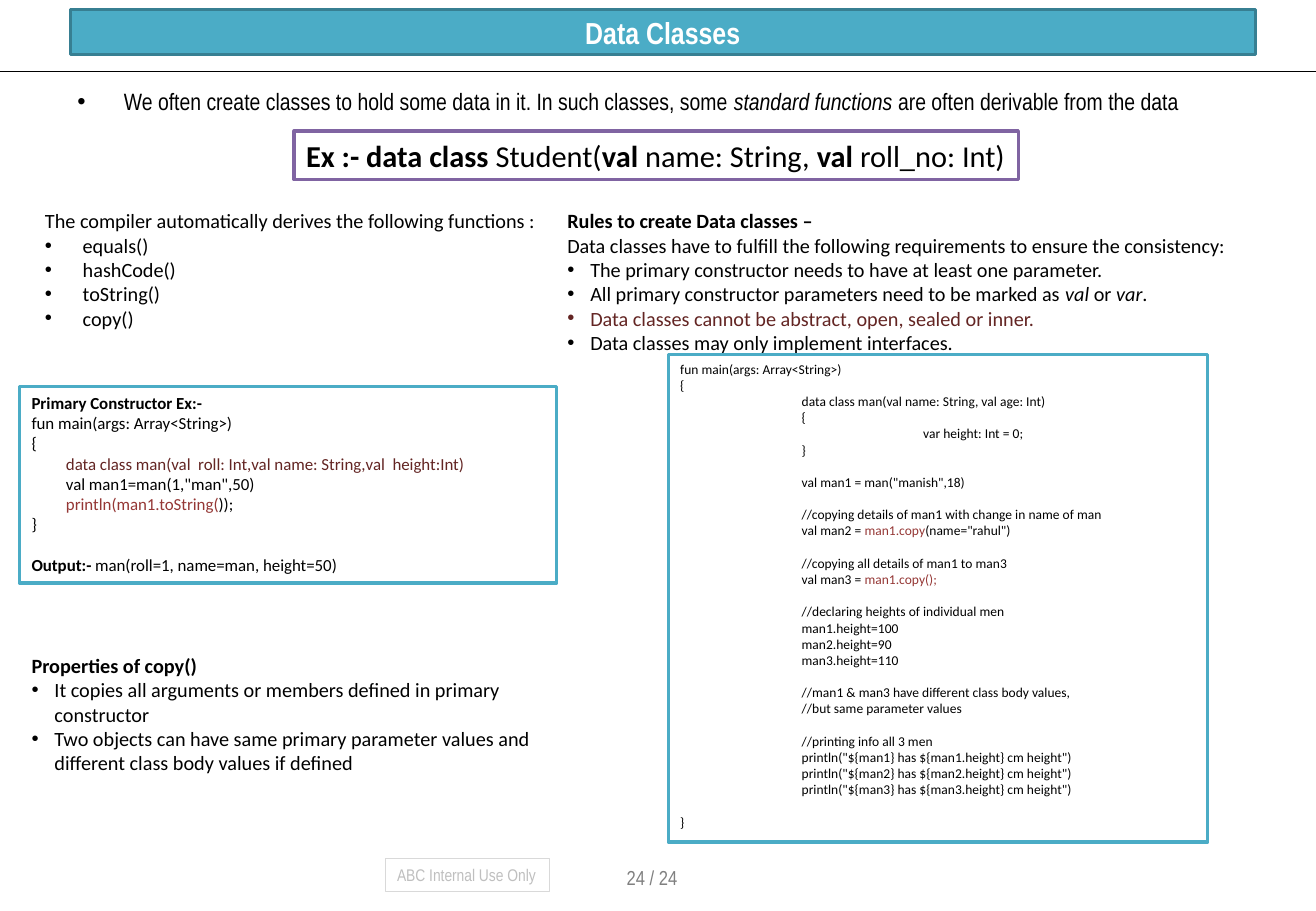
from collections import namedtuple
from pptx import Presentation
from pptx.dml.color import RGBColor
from pptx.enum.shapes import MSO_CONNECTOR, MSO_SHAPE
from pptx.enum.text import MSO_ANCHOR, PP_ALIGN
from pptx.oxml.ns import qn
from pptx.util import Cm, Pt
from lxml.etree import SubElement

Para = namedtuple("Para", "runs level gap bullet", defaults=(0, False, False))
TEAL, PURPLE = "4BACC6", "8064A2"
STYLES = {"b": {"bold": True}, "i": {"italic": True},
          "dark": {"color": "632523"}, "red": {"color": "953735"}}


def rgb(value):
    return RGBColor.from_string(value)


def style(r, **fmt):
    for key, value in fmt.items():
        if key == "color":
            r.font.color.rgb = rgb(value)
        else:
            setattr(r.font, key, value)


def add_bullet(p, hang):
    pPr = p._p.get_or_add_pPr()
    pPr.set("marL", str(Cm(hang)))
    pPr.set("indent", str(-Cm(hang)))
    SubElement(pPr, qn("a:buFont")).set("typeface", "Arial")
    SubElement(pPr, qn("a:buChar")).set("char", "•")


def write(tf, paras, size, name="Calibri", color="000000", indent=0.0, wrap=True):
    """Fill a text frame; runs are strings or (text, style) pairs."""
    tf.word_wrap = wrap
    tf.vertical_anchor = MSO_ANCHOR.TOP
    for i, para in enumerate(paras):
        p = tf.paragraphs[0] if i == 0 else tf.add_paragraph()
        p.alignment = PP_ALIGN.LEFT
        if para.gap:
            p.space_before = Pt(size * 1.2)
        if para.bullet:
            add_bullet(p, indent)
        elif para.level:
            p._p.get_or_add_pPr().set("marL", str(Cm(indent * para.level)))
        for run in para.runs:
            text, key = (run, None) if isinstance(run, str) else run
            r = p.add_run()
            r.text = text
            style(r, **{"name": name, "size": Pt(size), "color": color,
                        **STYLES.get(key, {})})


def text_box(s, box, paras, size, **fmt):
    sp = s.shapes.add_textbox(*map(Cm, box))
    write(sp.text_frame, paras, size, **fmt)


def panel(s, box, paras, size, line, weight=2.0, **fmt):
    sp = s.shapes.add_shape(MSO_SHAPE.RECTANGLE, *map(Cm, box))
    sp.shadow.inherit = False
    sp.fill.solid()
    sp.fill.fore_color.rgb = rgb("FFFFFF")
    sp.line.color.rgb = rgb(line)
    sp.line.width = Pt(weight)
    write(sp.text_frame, paras, size, **fmt)


def plain(*lines, **fmt):
    return [Para([line], **fmt) for line in lines]


def bullets(*lines):
    return plain(*lines, bullet=True)


# Title bar and the rule under it
def header(s, box):
    left, top, width, height = box
    sp = s.shapes.title
    sp.left, sp.top, sp.width, sp.height = map(Cm, box)
    sp.fill.solid()
    sp.fill.fore_color.rgb = rgb(TEAL)
    sp.line.color.rgb = rgb("377F92")
    sp.line.width = Pt(2)
    tf = sp.text_frame
    tf.vertical_anchor = MSO_ANCHOR.MIDDLE
    p = tf.paragraphs[0]
    p.alignment = PP_ALIGN.CENTER
    r = p.add_run()
    r.text = "Data Classes"
    style(r, name="Arial Narrow", size=Pt(18), bold=True, color="FFFFFF")

    y = Cm(top + height + 0.36)
    rule = s.shapes.add_connector(MSO_CONNECTOR.STRAIGHT, 0, y, prs.slide_width, y)
    rule.line.color.rgb = rgb("000000")
    rule.line.width = Pt(0.75)
    SubElement(rule._element.spPr, qn("a:effectLst"))


# Opening statement and the example declaration
def intro(s, box):
    left, top, width, height = box
    text_box(s, (left, top, width, 0.84), [Para([
        "We often create classes to hold some data in it. In such classes, some ",
        ("standard functions", "i"),
        " are often derivable from the data"], bullet=True)],
        14, name="Arial Narrow", indent=0.97)
    panel(s, (left + 4.78, top + height - 1.02, 15.14, 1.02), [Para([
        ("Ex :- data class", "b"), " Student(", ("val", "b"), " name: String, ",
        ("val ", "b"), "roll_no: Int)"])], 18, PURPLE, wrap=False)


# Left column: derived functions, constructor example, copy() properties
def left_column(s, box):
    left, top, width, height = box
    text_box(s, (left + 0.28, top, 11.2, 3.58),
             plain("The compiler automatically derives the following functions :")
             + bullets("equals()", "hashCode()", "toString()", "copy()"),
             12, indent=0.79)
    panel(s, (left, top + 3.84, 11.23, 4.11), [
        Para([("Primary Constructor Ex:-", "b")]),
        *plain("fun main(args: Array<String>)", "{"),
        Para([("data class man(val  roll: Int,val name: String,val  height:Int)",
               "dark")], 1),
        Para(['val man1=man(1,"man",50)'], 1),
        Para([("println(man1.toString(", "red"), "));"], 1),
        *plain("}"),
        Para([("Output:- ", "b"), "man(roll=1, name=man, height=50)"], gap=True),
    ], 10, TEAL, indent=0.72)
    text_box(s, (left, top + 9.3, width, height - 9.3),
             [Para([("Properties of copy()", "b")])] + bullets(
                 "It copies all arguments or members defined in primary constructor",
                 "Two objects can have same primary parameter values and "
                 "different class body values if defined"),
             12, indent=0.48)


# Right column: rules and the copy() listing
def right_column(s, box):
    left, top, width, height = box
    text_box(s, (left, top, width, 3.84), [
        Para([("Rules to create Data classes –", "b")]),
        *plain("Data classes have to fulfill the following requirements "
               "to ensure the consistency:"),
        *bullets("The primary constructor needs to have at least one parameter."),
        Para(["All primary constructor parameters need to be marked as ",
              ("val", "i"), " or ", ("var", "i"), "."], bullet=True),
        *bullets(("Data classes cannot be abstract, open, sealed or inner.", "dark"),
                 "Data classes may only implement interfaces."),
    ], 12, indent=0.48)

    men = (1, 2, 3)
    heights = (100, 90, 110)
    panel(s, (left + 2.36, top + 3.18, 11.28, height - 3.18), [
        *plain("fun main(args: Array<String>)", "{"),
        *plain("data class man(val name: String, val age: Int)", "{", level=1),
        Para(["var height: Int = 0;"], 2),
        Para(["}"], 1),
        Para(['val man1 = man("manish",18)'], 1, True),
        Para(["//copying details of man1 with change in name of man"], 1, True),
        Para(["val man2 = ", ("man1.copy", "red"), '(name="rahul")'], 1),
        Para(["//copying all details of man1 to man3"], 1, True),
        Para(["val man3 = ", ("man1.copy();", "red")], 1),
        Para(["//declaring heights of individual men"], 1, True),
        *plain(*(f"man{n}.height={h}" for n, h in zip(men, heights)), level=1),
        Para(["//man1 & man3 have different class body values,"], 1, True),
        Para(["//but same parameter values"], 1),
        Para(["//printing info all 3 men"], 1, True),
        *plain(*(f'println("${{man{n}}} has ${{man{n}.height}} cm height")'
                 for n in men), level=1),
        Para(["}"], gap=True),
    ], 8, TEAL, indent=2.54)


# Usage mark and page number
def footer(s, box):
    left, top, width, height = box
    panel(s, (left, top, 3.43, 0.69), plain("ABC Internal Use Only"), 10, "D9D9D9",
          weight=0.5, name="Arial Narrow", color="BFBFBF", wrap=False)
    text_box(s, (left + 4.8, top, width - 4.8, height), plain("24 / 24"), 12,
             name="Arial Narrow", color="808080", wrap=False)


prs = Presentation()
prs.slide_width, prs.slide_height = Cm(27.51), Cm(19.05)
s = prs.slides.add_slide(prs.slide_layouts[5])
header(s, (1.47, 0.2, 24.77, 0.94))
intro(s, (1.37, 1.7, 24.77, 2.06))
left_column(s, (0.41, 4.24, 12.09, 12.12))
right_column(s, (11.61, 4.24, 14.43, 13.37))
footer(s, (8.05, 17.96, 6.53, 0.76))
prs.save("out.pptx")
